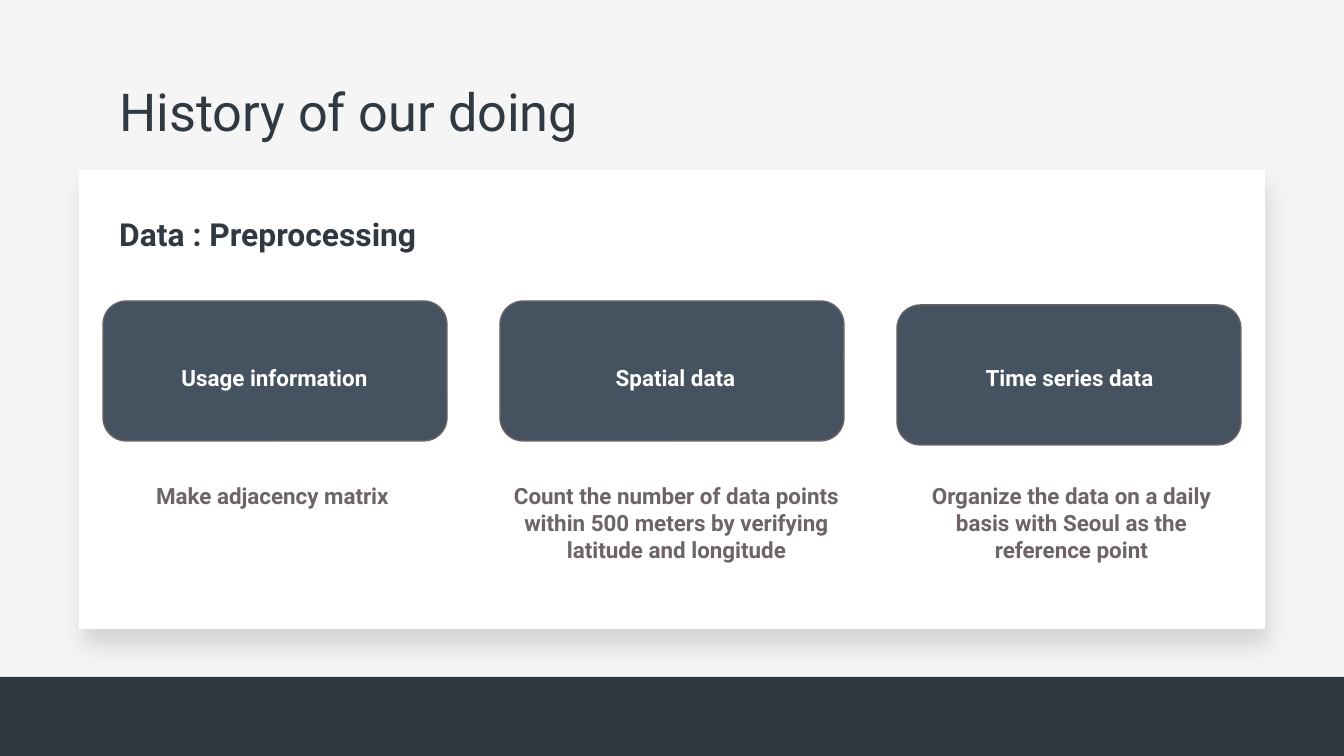
from lxml.etree import SubElement
from pptx import Presentation
from pptx.dml.color import RGBColor
from pptx.enum.shapes import MSO_SHAPE
from pptx.enum.text import MSO_ANCHOR, PP_ALIGN
from pptx.oxml.ns import qn
from pptx.util import Inches, Pt

SCALE = 914400 / 134.4
FONT = "Roboto"
PALE = RGBColor(0xF5, 0xF5, 0xF5)
WHITE = RGBColor(0xFF, 0xFF, 0xFF)
NAVY = RGBColor(0x30, 0x39, 0x42)
SLATE = RGBColor(0x45, 0x52, 0x5F)
GREY = RGBColor(0x6C, 0x64, 0x65)

# heading, caption, card top, label left, caption left, caption height
STEPS = [
    ("Usage information", "Make adjacency matrix", 301, 95, 93, 78),
    ("Spatial data",
     "Count the number of data points within 500 meters by verifying latitude and longitude",
     301, 496, 497, 78),
    ("Time series data",
     "Organize the data on a daily basis with Seoul as the reference point",
     305, 890, 892, 106),
]


def emu(*sizes):
    return [round(size * SCALE) for size in sizes]


class Deck:
    def __init__(self):
        self.prs = Presentation()
        self.prs.slide_width, self.prs.slide_height = emu(1344, 756)
        self.slide = self.prs.slides.add_slide(self.prs.slide_layouts[6])
        fill = self.slide.background.fill
        fill.solid()
        fill.fore_color.rgb = PALE

    def shape(self, kind, box, color, line=None):
        shape = self.slide.shapes.add_shape(kind, *emu(*box))
        shape.shadow.inherit = False
        shape.fill.solid()
        shape.fill.fore_color.rgb = color
        if line is None:
            shape.line.fill.background()
        else:
            shape.line.color.rgb = line
            shape.line.width = Pt(0.75)
        return shape

    def panel(self, box, color):
        """Draw a rectangle with a soft shadow below it."""
        shape = self.shape(MSO_SHAPE.RECTANGLE, box, color)
        effects = shape._element.spPr.find(qn("a:effectLst"))
        shadow = SubElement(effects, qn("a:outerShdw"), blurRad=str(Pt(12.4)),
                            dist=str(Pt(9)), dir=str(76 * 60000),
                            algn="bl", rotWithShape="0")
        tint = SubElement(shadow, qn("a:srgbClr"), val="000000")
        SubElement(tint, qn("a:alpha"), val="13000")

    def text(self, words, box, size, color, bold=True,
             align=PP_ALIGN.LEFT, anchor=MSO_ANCHOR.TOP):
        frame = self.slide.shapes.add_textbox(*emu(*box)).text_frame
        frame.word_wrap = True
        frame.vertical_anchor = anchor
        frame.margin_left = frame.margin_right = Inches(0.1)
        frame.margin_top = frame.margin_bottom = Inches(0.1)
        para = frame.paragraphs[0]
        para.text = words
        para.alignment = align
        para.font.name = FONT
        para.font.size = Pt(size)
        para.font.bold = bold
        para.font.color.rgb = color


def main():
    deck = Deck()
    deck.shape(MSO_SHAPE.RECTANGLE, (-4, 677, 1356, 85), NAVY)
    deck.panel((79, 170, 1186, 459), WHITE)
    deck.text("History of our doing", (106, 66, 1186, 85), 28, NAVY, bold=False)
    deck.text("Data : Preprocessing", (106, 188, 876, 78), 17, NAVY,
              anchor=MSO_ANCHOR.BOTTOM)

    for i, (head, note, top, left, start, tall) in enumerate(STEPS):
        deck.shape(MSO_SHAPE.ROUNDED_RECTANGLE, (103 + 397 * i, top, 344, 140),
                   SLATE, GREY)
        deck.text(head, (left, 339, 359, 78), 12, WHITE,
                  align=PP_ALIGN.CENTER, anchor=MSO_ANCHOR.MIDDLE)
        deck.text(note, (start, 469, 359, tall), 12, GREY, align=PP_ALIGN.CENTER)

    deck.prs.save("out.pptx")


if __name__ == "__main__":
    main()
